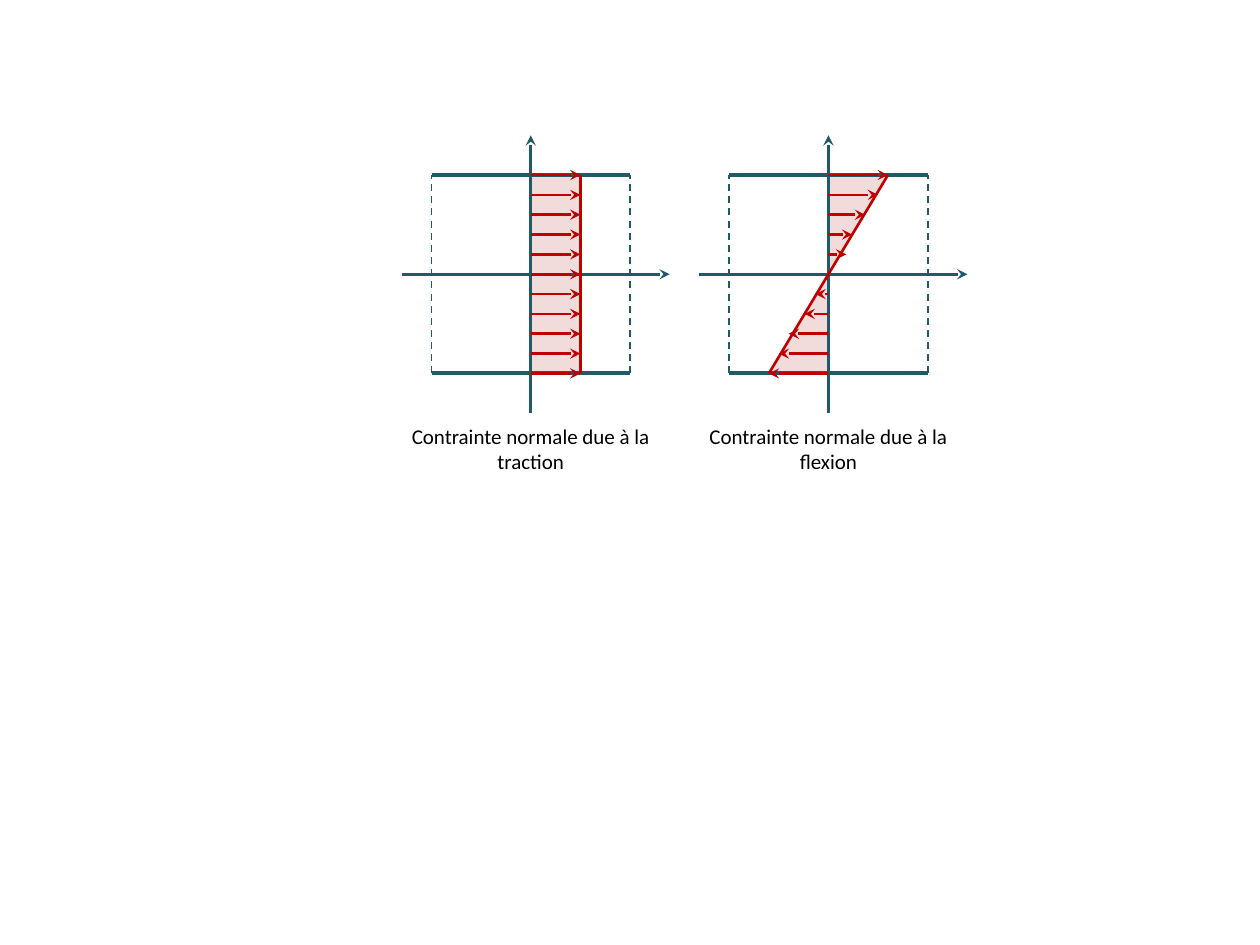
from lxml import etree
from pptx import Presentation
from pptx import util as u
from pptx.dml.color import RGBColor
from pptx.enum import dml, shapes, text
from pptx.oxml import ns

TEAL, RED, PINK, BLACK = "215968", "C00000", "F2DCDB", "000000"


def rgb(value):
    return RGBColor.from_string(value)


class Diagram:
    """Style and slide; lengths are 4 mm grid units from the section's centre."""
    unit = u.Mm(4)
    row = 13.82
    font, size = "Calibri", u.Pt(12)

    def __init__(self, s):
        self.s = s
        self.col = 0

    def x(self, cols):
        return round((self.col + cols) * self.unit)

    def y(self, rows):
        return round((self.row + rows) * self.unit)

    def box(self, left, top, width, height):
        return (self.x(left), self.y(top),
                round(width * self.unit), round(height * self.unit))

    def area(self, kind, left, top, width, height, rotation=0):
        sp = self.s.shapes.add_shape(kind, *self.box(left, top, width, height))
        sp.shadow.inherit = False
        sp.rotation = rotation
        sp.fill.solid()
        sp.fill.fore_color.rgb = rgb(PINK)
        sp.line.fill.background()

    def line(self, x1, y1, x2, y2, color=TEAL, width=1.5, dash=False, arrow=False):
        c = self.s.shapes.add_connector(
            shapes.MSO_CONNECTOR.STRAIGHT,
            self.x(x1), self.y(y1), self.x(x2), self.y(y2))
        c.line.color.rgb = rgb(color)
        c.line.width = u.Pt(width)
        if dash:
            c.line.dash_style = dml.MSO_LINE.DASH
        if arrow:
            etree.SubElement(c.line._get_or_add_ln(), ns.qn("a:tailEnd"), type="stealth")
        etree.SubElement(c._element.spPr, ns.qn("a:effectLst"))

    def section(self):
        # Beam edges, cut ends and axes
        self.line(-5, -5, 5, -5, width=2.25)
        self.line(-6.5, 0, 7, 0, arrow=True)
        self.line(-5, 5, 5, 5, width=2.25)
        for side in (-5, 5):
            self.line(side, 5, side, -5, width=1, dash=True)
        self.line(0, 7, 0, -7, arrow=True)

    def stresses(self, lengths):
        # One arrow per row, then the line joining the first and last tips
        for row, length in enumerate(lengths, -5):
            if length:
                self.line(0, row, length, row, RED, arrow=True)
        self.line(lengths[-1], 5, lengths[0], -5, RED)

    def caption(self, words):
        tb = self.s.shapes.add_textbox(*self.box(-6.75, 7.2, 13.5, 3.2))
        tf = tb.text_frame
        tf.word_wrap = True
        tf.auto_size = text.MSO_AUTO_SIZE.SHAPE_TO_FIT_TEXT
        tf.text = words
        p = tf.paragraphs[0]
        p.alignment = text.PP_ALIGN.CENTER
        r = p.runs[0]
        r.font.name, r.font.size = self.font, self.size
        r.font.color.rgb = rgb(BLACK)


def main():
    prs = Presentation()
    prs.slide_width, prs.slide_height = u.Inches(10), u.Inches(7.5)
    d = Diagram(prs.slides.add_slide(prs.slide_layouts[6]))
    kind = shapes.MSO_SHAPE

    # Tension: uniform stress
    d.col = 26.75
    d.area(kind.RECTANGLE, 0, -5, 2.5, 10)
    d.section()
    d.stresses([2.5] * 11)
    d.caption("Contrainte normale due à la traction")

    # Bending: stress changing sign at mid-height
    d.col += 15
    d.area(kind.RIGHT_TRIANGLE, -3.95, 1.05, 4.9, 3, 270)
    d.area(kind.RIGHT_TRIANGLE, -0.95, -4.05, 4.9, 3, 90)
    d.section()
    d.stresses([3, 2.5, 1.85, 1.2, 0.9, 0, -0.65, -1.2, -2, -2.5, -3])
    d.caption("Contrainte normale due à la flexion")

    prs.save("out.pptx")


if __name__ == "__main__":
    main()
